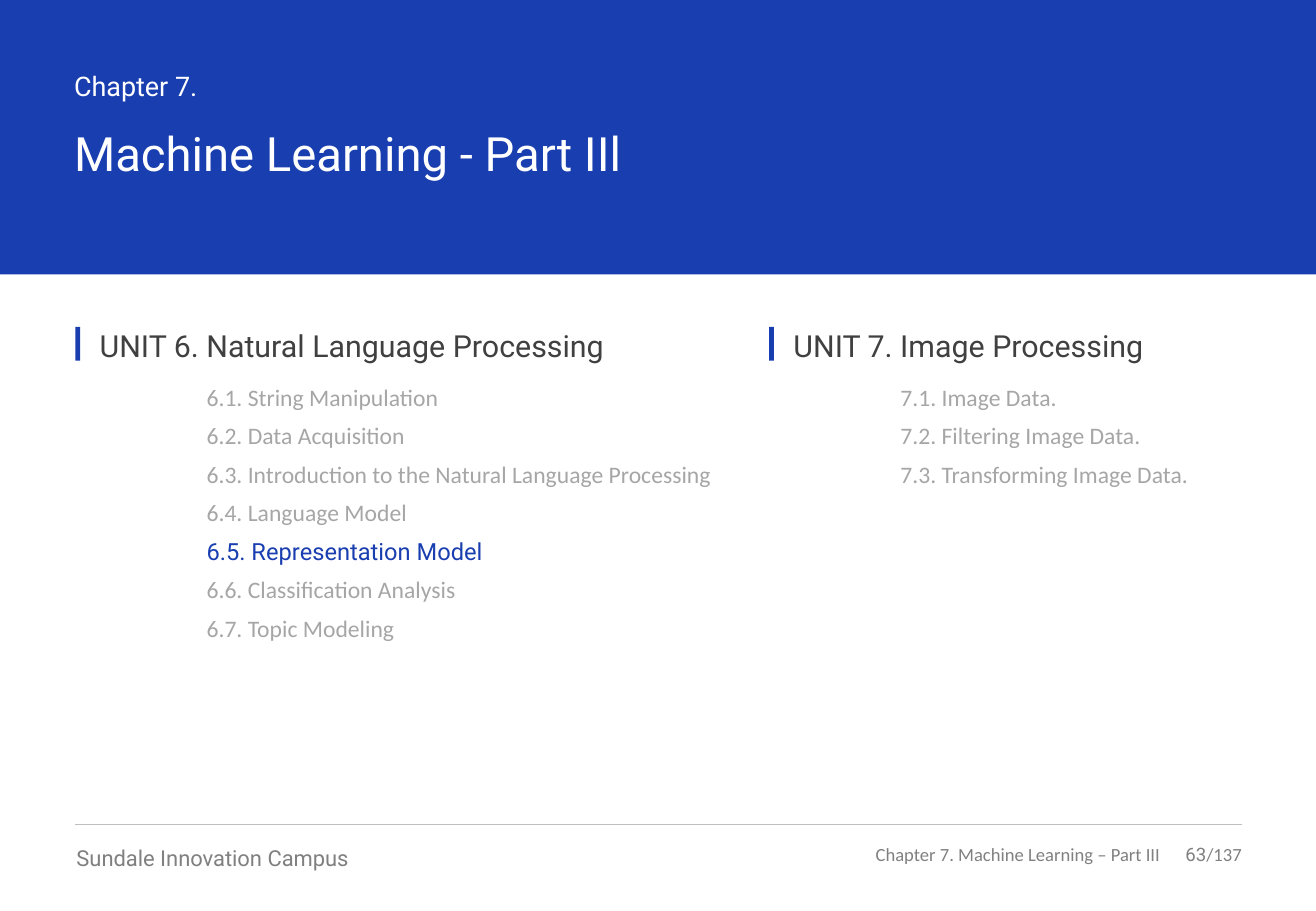
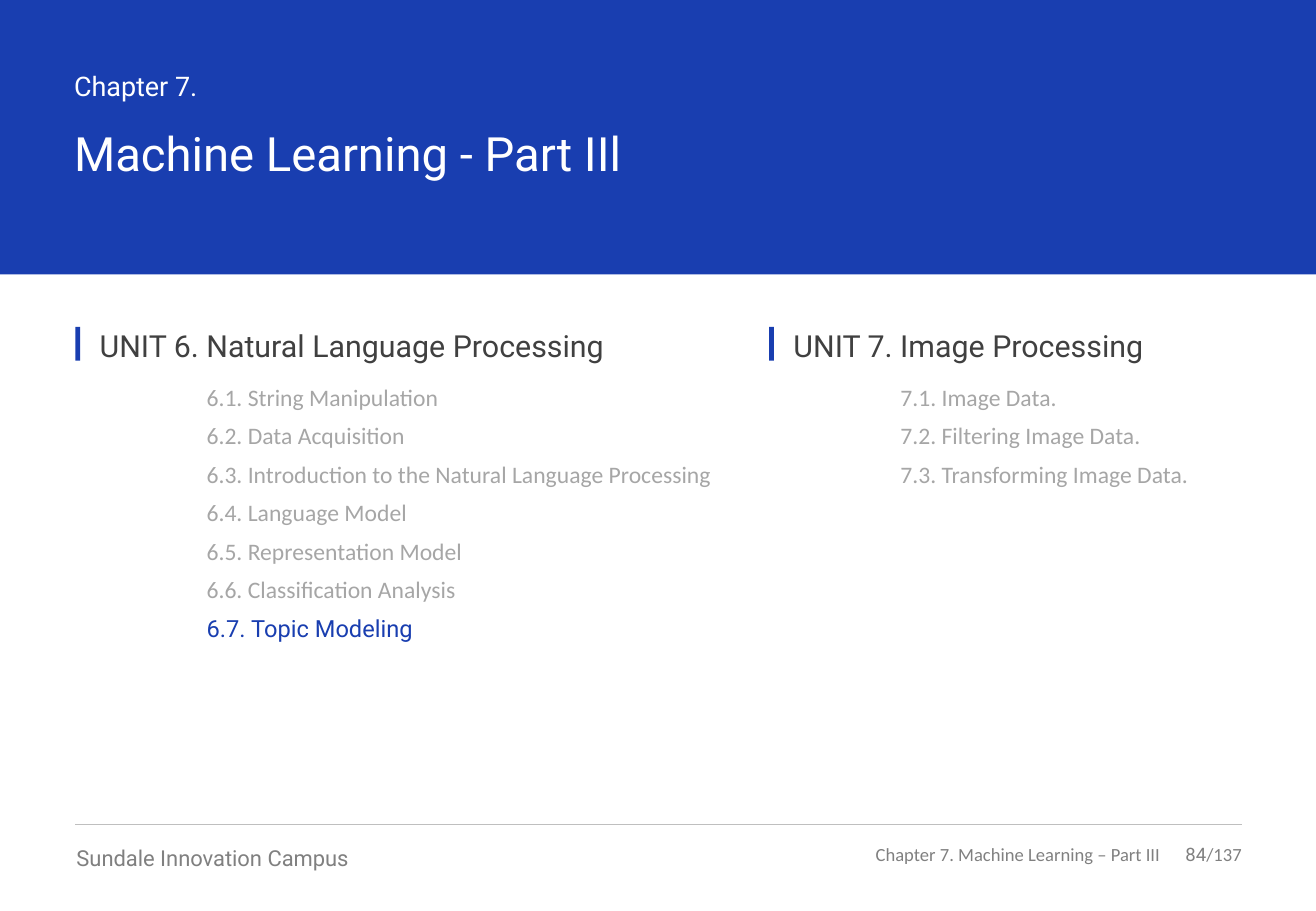
"""Build two chapter contents slides, each with its current section marked."""
import dataclasses

import lxml.etree
import pptx
import pptx.dml.color
import pptx.enum.shapes
import pptx.enum.text
import pptx.oxml.ns
import pptx.presentation
import pptx.shapes.base
import pptx.slide
import pptx.util

Inches = pptx.util.Inches
Align = pptx.enum.text.PP_ALIGN
Anchor = pptx.enum.text.MSO_ANCHOR

COLORS = {
    "blue": "193EB0",
    "white": "FFFFFF",
    "dark": "404040",
    "gray": "808080",
    "pale": "A6A6A6",
    "rule": "BFBFBF",
}
HEAD, BODY = "Roboto", "Calibri"
WIDTH, HEIGHT = 10.83, 7.5
LEFT, RIGHT = 0.62, 10.22
TOTAL = 137


@dataclasses.dataclass(frozen=True)
class Box:
    left: float
    top: float
    width: float
    height: float


@dataclasses.dataclass(frozen=True)
class Run:
    text: str
    size: float
    font: str
    color: str


@dataclasses.dataclass(frozen=True)
class Unit:
    title: str
    left: float
    wide: float
    items: tuple[str, ...]


@dataclasses.dataclass(frozen=True)
class Page:
    number: int
    active: str


UNITS = (
    Unit("UNIT 6. Natural Language Processing", LEFT, 4.87, (
        "6.1. String Manipulation",
        "6.2. Data Acquisition",
        "6.3. Introduction to the Natural Language Processing",
        "6.4. Language Model",
        "6.5. Representation Model",
        "6.6. Classification Analysis",
        "6.7. Topic Modeling",
    )),
    Unit("UNIT 7. Image Processing", 6.33, 3.4, (
        "7.1. Image Data.",
        "7.2. Filtering Image Data.",
        "7.3. Transforming Image Data.",
    )),
)
PAGES = (Page(63, "6.5."), Page(84, "6.7."))


def color(name: str) -> pptx.dml.color.RGBColor:
    return pptx.dml.color.RGBColor.from_string(COLORS[name])


def place(shape: pptx.shapes.base.BaseShape, box: Box) -> None:
    shape.left, shape.top = Inches(box.left), Inches(box.top)
    shape.width, shape.height = Inches(box.width), Inches(box.height)


def write(shape: pptx.shapes.base.BaseShape, lines: list[list[Run]],
          align: Align = Align.LEFT, anchor: Anchor = Anchor.TOP,
          after: float = 0, plain: bool = False) -> None:
    frame = shape.text_frame
    frame.word_wrap = True
    frame.auto_size = pptx.enum.text.MSO_AUTO_SIZE.NONE
    frame.vertical_anchor = anchor
    frame.margin_left = frame.margin_right = 0
    frame.margin_top = frame.margin_bottom = 0
    for index, runs in enumerate(lines):
        para = frame.add_paragraph() if index else frame.paragraphs[0]
        if plain:
            props = para._p.get_or_add_pPr()
            props.set("marL", "0")
            props.set("indent", "0")
            lxml.etree.SubElement(props, pptx.oxml.ns.qn("a:buNone"))
        para.alignment = align
        para.space_before = pptx.util.Pt(0)
        para.space_after = pptx.util.Pt(after)
        for item in runs:
            run = para.add_run()
            run.text = item.text
            run.font.size = pptx.util.Pt(item.size)
            run.font.name = item.font
            run.font.color.rgb = color(item.color)


def label(slide: pptx.slide.Slide, box: Box, runs: list[Run],
          align: Align = Align.LEFT, anchor: Anchor = Anchor.TOP) -> None:
    shape = slide.shapes.add_textbox(0, 0, 0, 0)
    place(shape, box)
    write(shape, [runs], align, anchor)


def block(slide: pptx.slide.Slide, box: Box) -> pptx.shapes.base.BaseShape:
    shape = slide.shapes.add_shape(
        pptx.enum.shapes.MSO_SHAPE.RECTANGLE, 0, 0, 0, 0)
    place(shape, box)
    shape.shadow.inherit = False
    shape.fill.solid()
    shape.fill.fore_color.rgb = color("blue")
    shape.line.fill.background()
    return shape


def header(slide: pptx.slide.Slide) -> None:
    title = slide.shapes.title
    band = block(slide, Box(0, 0, WIDTH, 2.26))
    title.element.addprevious(band.element)
    place(title, Box(0.61, 1.02, 5.49, 0.47))
    write(title, [[Run("Machine Learning - Part IIl", 28, HEAD, "white")]])
    label(slide, Box(0.61, 0.57, 1.18, 0.27),
          [Run("Chapter 7.", 16, HEAD, "white")])


def footer(slide: pptx.slide.Slide, number: int) -> None:
    rule = slide.shapes.add_connector(
        pptx.enum.shapes.MSO_CONNECTOR.STRAIGHT,
        Inches(LEFT), Inches(6.79), Inches(RIGHT), Inches(6.79))
    rule.line.color.rgb = color("rule")
    rule.line.width = pptx.util.Pt(0.5)
    lxml.etree.SubElement(rule.element.spPr, pptx.oxml.ns.qn("a:effectLst"))
    label(slide, Box(0.63, 6.95, 3.16, 0.22),
          [Run("Sundale Innovation Campus", 13, HEAD, "gray")])
    label(slide, Box(7, 6.94, 2.55, 0.19),
          [Run("Chapter 7. Machine Learning – Part III", 11, BODY, "gray")],
          Align.RIGHT, Anchor.MIDDLE)
    label(slide, Box(9.55, 6.94, 0.67, 0.19),
          [Run(str(number), 11, HEAD, "gray"),
           Run(f"/{TOTAL}", 11, BODY, "gray")],
          Align.RIGHT, Anchor.MIDDLE)


def outline(slide: pptx.slide.Slide, unit: Unit, slot: int,
            active: str) -> None:
    block(slide, Box(unit.left, 2.69, 0.04, 0.28))
    label(slide, Box(unit.left + 0.2, 2.69, unit.wide + 0.8, 0.3),
          [Run(unit.title, 18, HEAD, "dark")], anchor=Anchor.MIDDLE)
    body = slide.placeholders[slot]
    place(body, Box(unit.left + 1.08, 3.15, unit.wide,
                    0.32 * len(unit.items) - 0.08))
    lines = []
    for text in unit.items:
        hot = text.startswith(active)
        lines.append([Run(text, 14, HEAD if hot else BODY,
                          "blue" if hot else "pale")])
    write(body, lines, after=6, plain=True)


def build(deck: pptx.presentation.Presentation, page: Page) -> None:
    slide = deck.slides.add_slide(deck.slide_layouts.get_by_name("Two Content"))
    header(slide)
    for slot, unit in enumerate(UNITS, 1):
        outline(slide, unit, slot, page.active)
    footer(slide, page.number)


def main() -> None:
    deck = pptx.Presentation()
    deck.slide_width, deck.slide_height = Inches(WIDTH), Inches(HEIGHT)
    for page in PAGES:
        build(deck, page)
    deck.save("out.pptx")


if __name__ == "__main__":
    main()
